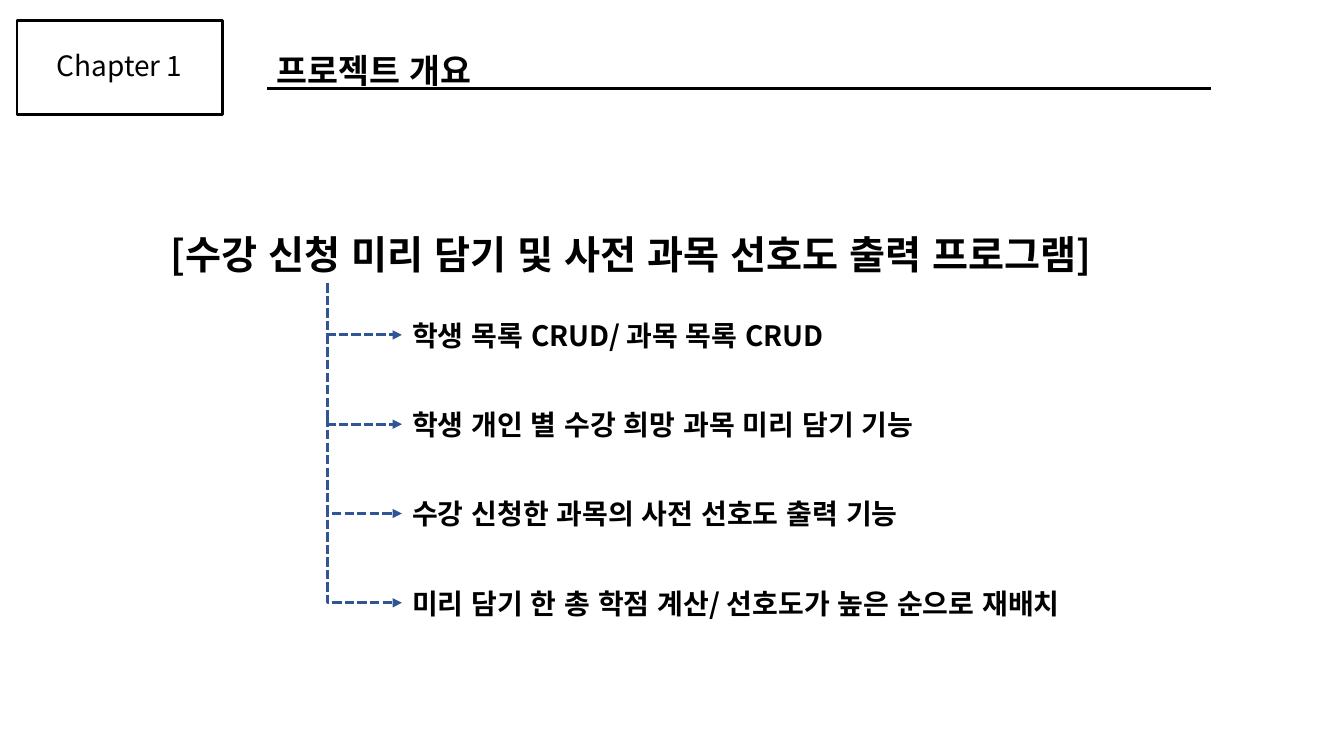
from dataclasses import dataclass

from lxml import etree
from pptx import Presentation
from pptx.dml.color import RGBColor
from pptx.enum.dml import MSO_LINE
from pptx.enum.lang import MSO_LANGUAGE_ID
from pptx.enum.shapes import MSO_CONNECTOR, MSO_SHAPE
from pptx.enum.text import MSO_ANCHOR, MSO_AUTO_SIZE, PP_ALIGN
from pptx.oxml.ns import qn
from pptx.util import Cm, Pt

BOX = MSO_SHAPE.RECTANGLE
LINE, ELBOW = MSO_CONNECTOR.STRAIGHT, MSO_CONNECTOR.ELBOW
DASH = MSO_LINE.SQUARE_DOT
TOP, MID = MSO_ANCHOR.TOP, MSO_ANCHOR.MIDDLE
LEFT, CENTER = PP_ALIGN.LEFT, PP_ALIGN.CENTER
FIXED = MSO_AUTO_SIZE.NONE
KOREAN = MSO_LANGUAGE_ID.KOREAN


@dataclass(frozen=True)
class Theme:
    font: str = "Noto Sans CJK KR"
    ink: RGBColor = RGBColor(0x00, 0x00, 0x00)
    blue: RGBColor = RGBColor(0x2F, 0x55, 0x97)
    title: Pt = Pt(24)
    head: Pt = Pt(28)
    body: Pt = Pt(20)


theme = Theme()


def write(shape, lines, size, bold=True, align=LEFT, anchor=TOP, gap=0):
    frame = shape.text_frame
    frame.text = "\n".join(lines)
    frame.word_wrap = True
    frame.auto_size = FIXED
    frame.vertical_anchor = anchor
    for para in frame.paragraphs:
        para.alignment = align
        para.line_spacing = 1.0
        para.space_before = Pt(0)
        para.space_after = Pt(gap)
        for run in para.runs:
            font = run.font
            font.name, font.size, font.bold = theme.font, size, bold
            font.color.rgb = theme.ink
            font.language_id = KOREAN
            props = run._r.get_or_add_rPr()
            props.set("kern", "0")
            etree.SubElement(props, qn("a:ea")).set("typeface", theme.font)


def link(kind, x1, y1, x2, y2, color):
    wire = slide.shapes.add_connector(kind, Cm(x1), Cm(y1), Cm(x2), Cm(y2))
    wire.line.color.rgb = color
    wire.line.width = Pt(2.25)
    etree.SubElement(wire._element.spPr, qn("a:effectLst"))
    return wire


deck = Presentation()
deck.slide_width, deck.slide_height = Cm(33.87), Cm(19.05)
slide = deck.slides.add_slide(deck.slide_layouts[1])
title, body = slide.placeholders

badge = slide.shapes.add_shape(BOX, Cm(0.43), Cm(0.51), Cm(5.17), Cm(2.38))
badge.shadow.inherit = False
badge.fill.background()
badge.line.color.rgb = theme.ink
badge.line.width = Pt(2)
write(badge, ["Chapter 1"], theme.body, bold=False, align=CENTER, anchor=MID)
badge.text_frame.margin_bottom = Cm(0.25)

link(LINE, 6.73, 2.24, 30.53, 2.24, theme.ink)
title.left, title.top, title.width, title.height = Cm(6.72), Cm(1.14), Cm(13.69), Cm(1.27)
write(title, ["프로젝트 개요"], theme.title)

head = slide.shapes.add_textbox(Cm(4.06), Cm(5.69), Cm(25.76), Cm(1.45))
write(head, ["[수강 신청 미리 담기 및 사전 과목 선호도 출력 프로그램]"], theme.head)

items = [
    "학생 목록 CRUD/ 과목 목록 CRUD",
    "학생 개인 별 수강 희망 과목 미리 담기 기능",
    "수강 신청한 과목의 사전 선호도 출력 기능",
    "미리 담기 한 총 학점 계산/ 선호도가 높은 순으로 재배치",
]
body.left, body.top, body.width, body.height = Cm(10.13), Cm(7.9), Cm(18.82), Cm(7.9)
write(body, items, theme.body, gap=39.7)
for para in body.text_frame.paragraphs:
    props = para._p.get_or_add_pPr()
    props.set("marL", "0")
    props.set("indent", "0")
    etree.SubElement(props, qn("a:buNone"))

step = 2.25
starts = [7.14, 8.44, 10.52, 12.78]
for row, start in enumerate(starts):
    arrow = link(ELBOW, 8.26, start, 10.13, 8.44 + row * step, theme.blue)
    arrow.line.dash_style = DASH
    tail = etree.SubElement(arrow.line._get_or_add_ln(), qn("a:tailEnd"))
    tail.set("type", "triangle")
    bend = etree.SubElement(arrow._element.spPr.prstGeom.get_or_add_avLst(), qn("a:gd"))
    bend.set("name", "adj1")
    bend.set("fmla", "val 0")

deck.save("out.pptx")
